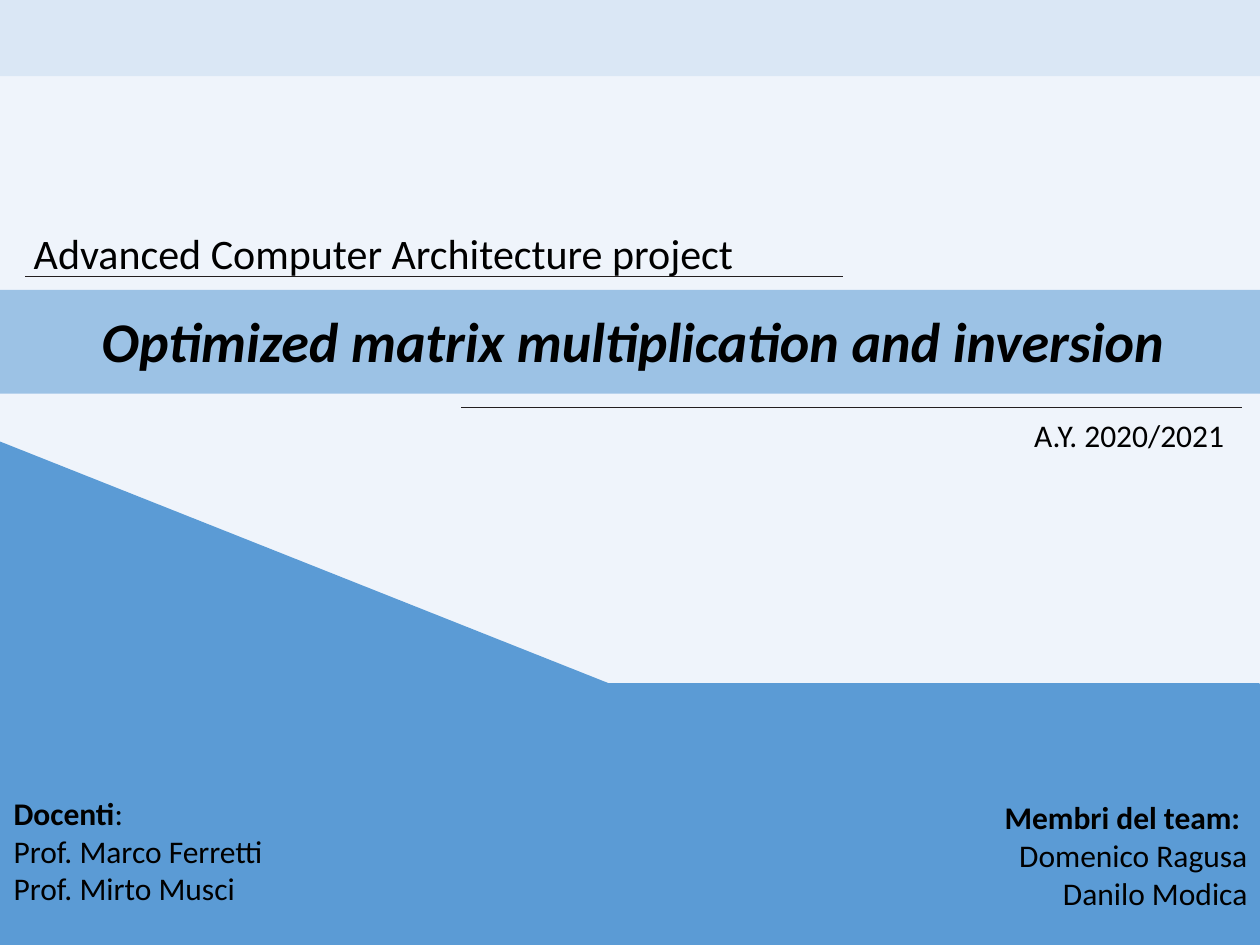
"""Builds the title slide of a computer architecture project."""
import dataclasses

import lxml.etree
import pptx
import pptx.dml.color
import pptx.enum.shapes
import pptx.enum.text
import pptx.oxml.ns
import pptx.util

Pt = pptx.util.Pt
SHAPE = pptx.enum.shapes.MSO_SHAPE
ALIGN = pptx.enum.text.PP_ALIGN
ANCHOR = pptx.enum.text.MSO_ANCHOR
WIDTH, HEIGHT = 720, 540


@dataclasses.dataclass(frozen=True)
class Theme:
    font: str = "Calibri"
    back: str = "EFF4FB"
    blue: str = "5B9BD5"
    ink: str = "000000"
    rule: str = "231F20"
    title: int = 32
    head: int = 24
    body: int = 18


def color(code):
    return pptx.dml.color.RGBColor.from_string(code)


class Maker:
    def __init__(self, theme, slide):
        self.theme = theme
        self.slide = slide
        fill = slide.background.fill
        fill.solid()
        fill.fore_color.rgb = color(theme.back)

    def block(self, kind, left, top, width, height, alpha=100, edge=0):
        shape = self.slide.shapes.add_shape(
            kind, Pt(left), Pt(top), Pt(width), Pt(height))
        shape.shadow.inherit = False
        shape.fill.solid()
        shape.fill.fore_color.rgb = color(self.theme.blue)
        if alpha < 100:
            tint = shape.fill._xPr.find(".//" + pptx.oxml.ns.qn("a:srgbClr"))
            node = lxml.etree.SubElement(tint, pptx.oxml.ns.qn("a:alpha"))
            node.set("val", str(alpha * 1000))
        if edge:
            shape.line.color.rgb = color(self.theme.blue)
            shape.line.width = Pt(edge)
        else:
            shape.line.fill.background()

    def rule(self, start, end, top):
        line = self.slide.shapes.add_connector(
            pptx.enum.shapes.MSO_CONNECTOR.STRAIGHT,
            Pt(start), Pt(top), Pt(end), Pt(top))
        line.line.color.rgb = color(self.theme.rule)
        line.line.width = Pt(0.5)
        lxml.etree.SubElement(
            line._element.spPr, pptx.oxml.ns.qn("a:effectLst"))

    def text(self, left, top, width, height, size, lines,
             align=ALIGN.LEFT, anchor=ANCHOR.TOP, lead=0.9):
        """Each line is a list of (words, bold, italic) runs; lead spaces the first."""
        box = self.slide.shapes.add_textbox(
            Pt(left), Pt(top), Pt(width), Pt(height))
        frame = box.text_frame
        frame.word_wrap = True
        frame.vertical_anchor = anchor
        for index, runs in enumerate(lines):
            para = frame.add_paragraph() if index else frame.paragraphs[0]
            para.alignment = align
            para.line_spacing = 1.0 if index else lead
            for words, bold, slant in runs:
                run = para.add_run()
                run.text = words
                run.font.name = self.theme.font
                run.font.size = Pt(size)
                run.font.bold = bold
                run.font.italic = slant
                run.font.color.rgb = color(self.theme.ink)


def plain(words):
    return [(words, False, False)]


def main():
    deck = pptx.Presentation()
    deck.slide_width, deck.slide_height = Pt(WIDTH), Pt(HEIGHT)
    theme = Theme()
    make = Maker(theme, deck.slides.add_slide(deck.slide_layouts[6]))

    make.rule(263.5, 710, 232.6)
    make.block(SHAPE.RIGHT_TRIANGLE, -0.7, 252, 667.4, 265)
    make.block(SHAPE.RECTANGLE, 0, 165.6, WIDTH, 59.4, alpha=56)
    make.block(SHAPE.RECTANGLE, -0.7, 391, WIDTH, 149, edge=1)
    make.text(2, 137.5, WIDTH, 80, theme.title,
              [[("Optimized matrix multiplication and inversion", True, True)]],
              ALIGN.CENTER, ANCHOR.BOTTOM)
    make.rule(14.4, 481.7, 157.7)
    make.block(SHAPE.RECTANGLE, 0, 0, WIDTH, 43.6, alpha=14)
    make.text(0.7, 450, 358, 73, theme.body,
              [[("Docenti", True, False), (":", False, False)],
               plain("Prof. Marco Ferretti"), plain("Prof. Mirto Musci")],
              lead=1.0)
    make.text(360, 455, 360, 70.6, theme.body,
              [[("Membri del team: ", True, False)],
               plain("Domenico Ragusa"), plain("Danilo Modica")], ALIGN.RIGHT)
    make.text(12.2, 129.6, 418.3, 55.4, theme.head,
              [plain("Advanced Computer Architecture project")])
    make.text(583.9, 236.9, 130, 49, theme.body, [plain("A.Y. 2020/2021")])
    deck.save("out.pptx")


if __name__ == "__main__":
    main()
